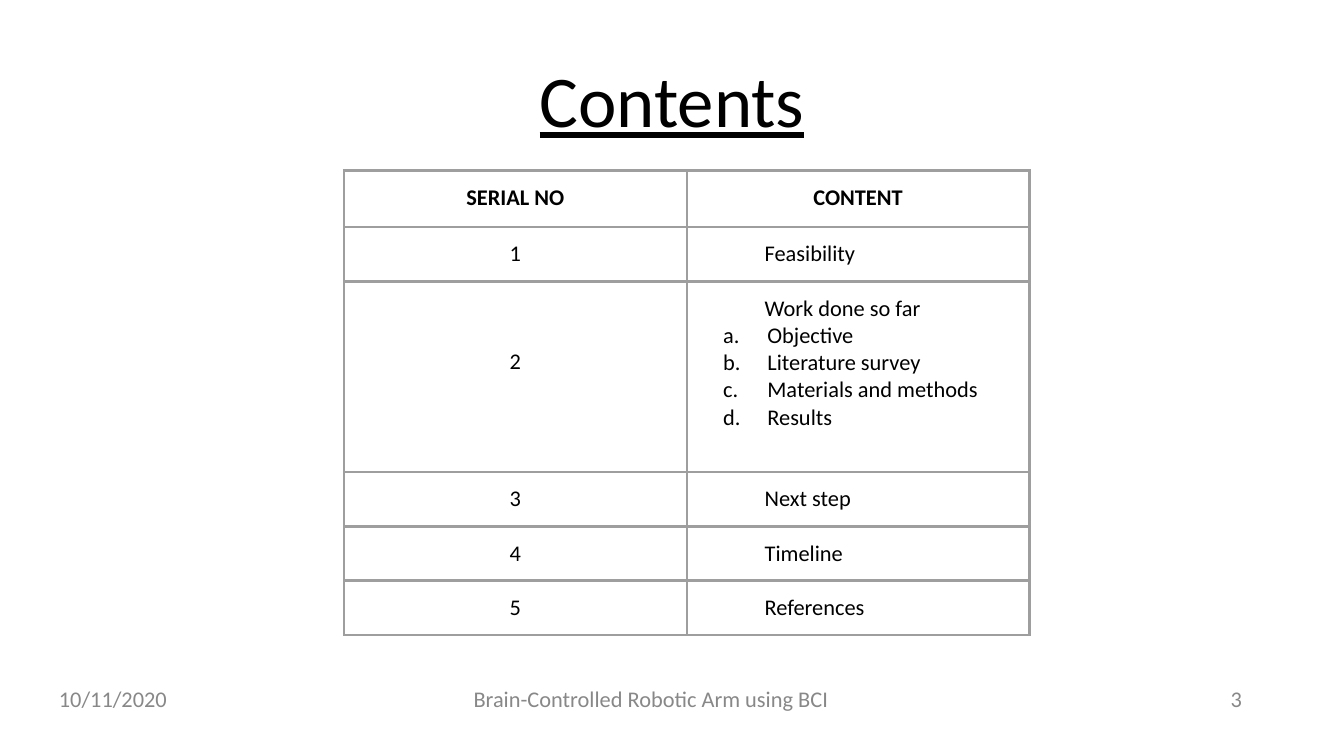
from lxml.etree import SubElement
from pptx import Presentation
from pptx.dml.color import RGBColor
from pptx.enum.text import MSO_ANCHOR, MSO_AUTO_SIZE, PP_ALIGN
from pptx.oxml.ns import qn
from pptx.util import Inches, Pt

BLACK, GREY, BORDER = "000000", "888888", "9E9E9E"
SLIDE_WIDTH = 10
SLIDE_HEIGHT = SLIDE_WIDTH * 9 / 16
CONTENTS = [
    ("Feasibility", []),
    ("Work done so far",
     ["Objective", "Literature survey", "Materials and methods", "Results"]),
    ("Next step", []),
    ("Timeline", []),
    ("References", []),
]
HEADER_HEIGHT, ROW_HEIGHT, LIST_ROW_HEIGHT = 0.42, 0.4, 1.42


def style(paragraph, align, color=BLACK, size=12, bold=False):
    paragraph.alignment = align
    font = paragraph.font
    font.name, font.size, font.bold = "Calibri", Pt(size), bold
    font.color.rgb = RGBColor.from_string(color)


def indent(paragraph, left, first=0.0, lettered=False):
    properties = paragraph._p.get_or_add_pPr()
    properties.set("marL", str(Inches(left)))
    properties.set("indent", str(Inches(first)))
    if lettered:
        bullet = properties.makeelement(qn("a:buAutoNum"), {"type": "alphaLcPeriod"})
        properties.insert_element_before(bullet, "a:tabLst", "a:defRPr", "a:extLst")


def add_title(slide, left, top, width, height):
    title = slide.shapes.title
    title.left, title.top = Inches(left), Inches(top)
    title.width, title.height = Inches(width), Inches(height)
    frame = title.text_frame
    frame.text = "Contents"
    frame.auto_size = MSO_AUTO_SIZE.NONE
    frame.vertical_anchor = MSO_ANCHOR.TOP
    frame.margin_top = frame.margin_bottom = Inches(0.1)
    heading = frame.paragraphs[0]
    style(heading, PP_ALIGN.CENTER, size=39)
    heading.font.underline = True


def format_cell(cell):
    cell.margin_left = cell.margin_right = Inches(0.1)
    cell.margin_top = cell.margin_bottom = Inches(0.1)
    properties = cell._tc.get_or_add_tcPr()
    for side in ("lnL", "lnR", "lnT", "lnB"):
        line = SubElement(properties, qn(f"a:{side}"), w=str(Pt(1.5)))
        fill = SubElement(line, qn("a:solidFill"))
        SubElement(fill, qn("a:srgbClr"), val=BORDER)
    cell.fill.background()


def fill_cell(cell, text, align, bold=False):
    format_cell(cell)
    cell.text = text
    paragraph = cell.text_frame.paragraphs[0]
    style(paragraph, align, bold=bold)
    return paragraph


def add_contents(slide, left, top, width):
    heights = [HEADER_HEIGHT] + [
        LIST_ROW_HEIGHT if parts else ROW_HEIGHT for _, parts in CONTENTS]
    table = slide.shapes.add_table(
        len(heights), 2, Inches(left), Inches(top),
        Inches(width), Inches(sum(heights))).table
    table.first_row = table.horz_banding = False
    for row, height in zip(table.rows, heights):
        row.height = Inches(height)
    for column, heading in enumerate(("SERIAL NO", "CONTENT")):
        fill_cell(table.cell(0, column), heading, PP_ALIGN.CENTER, bold=True)
    for number, (topic, parts) in enumerate(CONTENTS, start=1):
        serial, content = table.cell(number, 0), table.cell(number, 1)
        fill_cell(serial, str(number), PP_ALIGN.CENTER)
        indent(fill_cell(content, topic, PP_ALIGN.JUSTIFY), 0.48)
        if parts:
            serial.margin_top = Inches(0.5)
        for part in parts:
            item = content.text_frame.add_paragraph()
            item.text = part
            style(item, PP_ALIGN.JUSTIFY)
            indent(item, 0.5, -0.33, lettered=True)


def add_footer(slide, left, top, width, height):
    side, middle = 2.33, 3.17
    parts = [
        ("10/11/2020", 0, side, PP_ALIGN.LEFT),
        ("Brain-Controlled Robotic Arm using BCI", 2.92, middle, PP_ALIGN.CENTER),
        ("3", width - side, side, PP_ALIGN.RIGHT),
    ]
    for text, offset, part_width, align in parts:
        frame = slide.shapes.add_textbox(
            Inches(left + offset), Inches(top),
            Inches(part_width), Inches(height)).text_frame
        frame.word_wrap = True
        frame.vertical_anchor = MSO_ANCHOR.MIDDLE
        frame.text = text
        style(frame.paragraphs[0], align, GREY)


def main():
    deck = Presentation()
    deck.slide_width, deck.slide_height = Inches(SLIDE_WIDTH), Inches(SLIDE_HEIGHT)
    slide = deck.slides.add_slide(deck.slide_layouts[5])
    add_title(slide, 0.34, 0.31, 9.32, 0.63)
    add_contents(slide, 2.56, 1.27, 5.1)
    add_footer(slide, 0.34, 5, 9, 0.4)
    deck.save("out.pptx")


if __name__ == "__main__":
    main()
